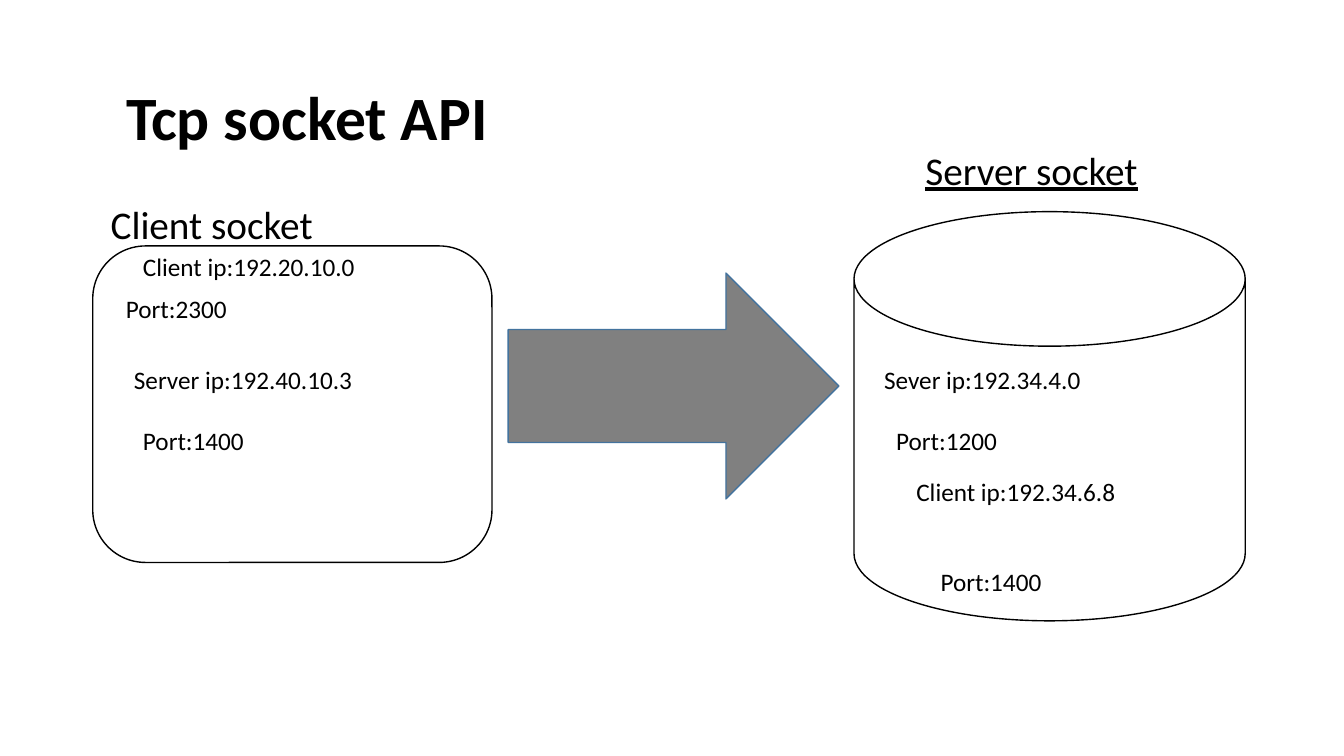
from pptx import Presentation
from pptx.dml.color import RGBColor
from pptx.enum.shapes import MSO_SHAPE
from pptx.enum.text import MSO_ANCHOR, PP_ALIGN
from pptx.util import Inches, Pt

COLORS = {"text": "000000", "outline": "000000", "paper": "FFFFFF",
          "arrow": "808080", "arrow_edge": "43739E"}


def write(box, text, size, bold=False, underline=False, spacing=1.0):
    frame = box.text_frame
    frame.word_wrap = True
    para = frame.paragraphs[0]
    para.alignment = PP_ALIGN.LEFT
    para.line_spacing = spacing
    span = para.add_run()
    span.text = text
    span.font.name = "Calibri"
    span.font.size = Pt(size)
    span.font.bold = bold
    span.font.underline = underline
    span.font.color.rgb = RGBColor.from_string(COLORS["text"])


def add_figure(kind, bounds, fill, line):
    figure = page.shapes.add_shape(kind, *map(Inches, bounds))
    figure.shadow.inherit = False
    figure.fill.solid()
    figure.fill.fore_color.rgb = RGBColor.from_string(COLORS[fill])
    figure.line.color.rgb = RGBColor.from_string(COLORS[line])
    figure.line.width = Pt(1)
    return figure


deck = Presentation()
deck.slide_width = Inches(13.33)
deck.slide_height = Inches(7.5)
page = deck.slides.add_slide(deck.slide_layouts.get_by_name("Title Only"))

title = page.shapes.title
title.left, title.top, title.width, title.height = map(Inches, (1.15, 0.47, 11.5, 1.45))
title.text_frame.vertical_anchor = MSO_ANCHOR.MIDDLE
write(title, "Tcp socket API", 44, bold=True, spacing=0.9)

client_heading = page.shapes.add_textbox(*map(Inches, (1, 1.99, 11.5, 4.76)))
write(client_heading, "Client socket", 28, spacing=0.9)

add_figure(MSO_SHAPE.ROUNDED_RECTANGLE, (0.92, 2.44, 3.96, 3.14), "paper", "outline")
add_figure(MSO_SHAPE.RIGHT_ARROW, (5.04, 2.71, 3.28, 2.24), "arrow", "arrow_edge")
server = add_figure(MSO_SHAPE.CAN, (8.47, 2.1, 3.88, 4.06), "paper", "outline")
server.adjustments[0] = 0.344

server_heading = page.shapes.add_textbox(*map(Inches, (9.08, 1.4, 2.39, 0.57)))
write(server_heading, "Server socket", 28, underline=True)

addresses = [
    ("Client ip:192.20.10.0", 1.32, 2.44, 2.96),
    ("Port:2300", 1.15, 2.86, 2.59),
    ("Server ip:192.40.10.3", 1.23, 3.57, 2.49),
    ("Port:1400", 1.32, 4.17, 2.23),
    ("Sever ip:192.34.4.0", 8.67, 3.57, 2.49),
    ("Port:1200", 8.79, 4.17, 1.73),
    ("Client ip:192.34.6.8", 8.99, 4.68, 2.57),
    ("Port:1400", 9.23, 5.57, 1.29),
]
for text, left, top, width in addresses:
    box = page.shapes.add_textbox(*map(Inches, (left, top, width, 0.4)))
    write(box, text, 18)

deck.save("out.pptx")
